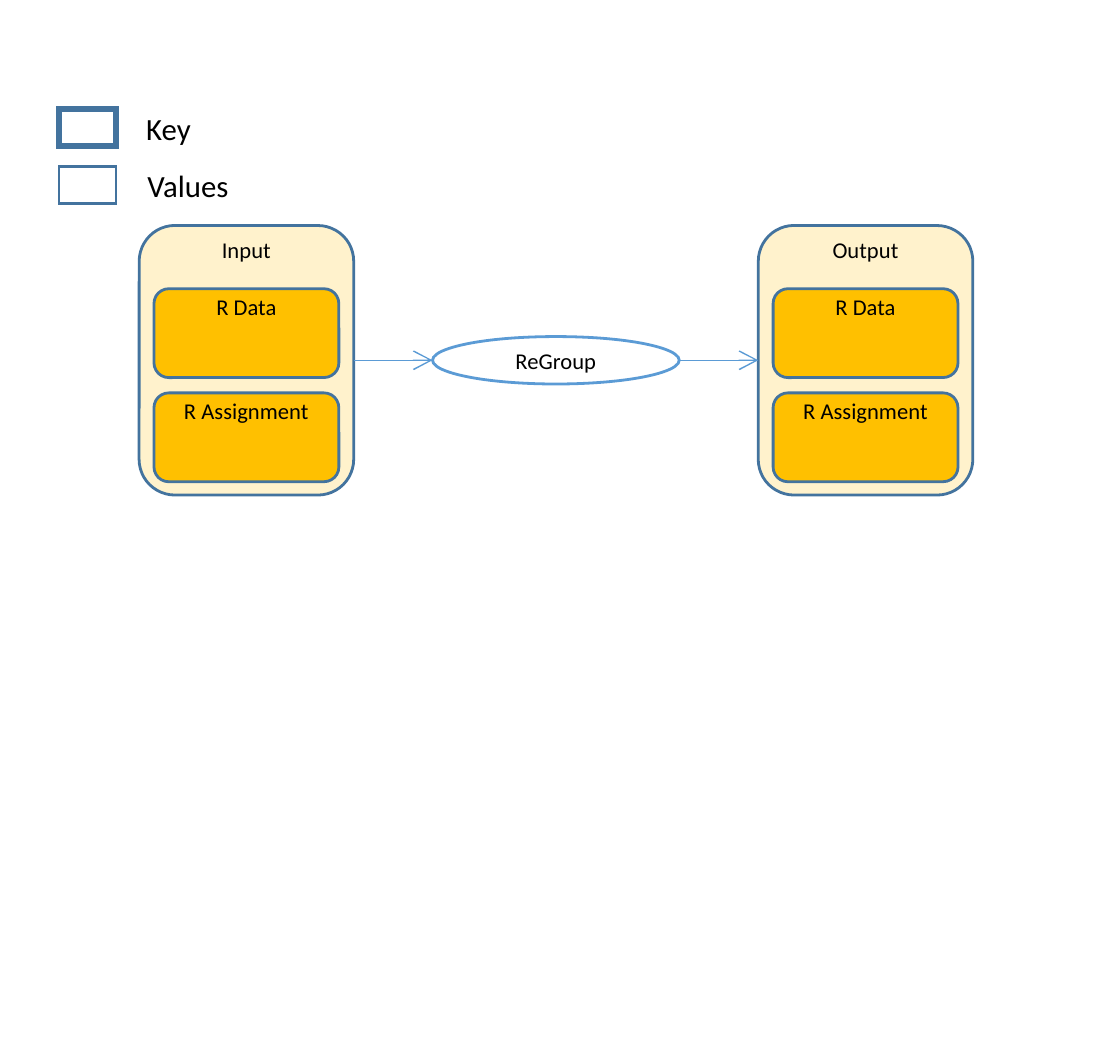
from dataclasses import dataclass

from lxml import etree
from pptx import Presentation
from pptx.dml.color import RGBColor
from pptx.enum.shapes import MSO_CONNECTOR, MSO_SHAPE
from pptx.enum.text import MSO_ANCHOR, MSO_AUTO_SIZE, PP_ALIGN
from pptx.oxml.ns import qn
from pptx.util import Pt

RECTANGLE = MSO_SHAPE.RECTANGLE
ROUNDED = MSO_SHAPE.ROUNDED_RECTANGLE
OVAL = MSO_SHAPE.OVAL
STRAIGHT = MSO_CONNECTOR.STRAIGHT
TOP, MIDDLE = MSO_ANCHOR.TOP, MSO_ANCHOR.MIDDLE
CENTER = PP_ALIGN.CENTER
FIT_SHAPE = MSO_AUTO_SIZE.SHAPE_TO_FIT_TEXT
LEFT_SIDE, RIGHT_SIDE = 1, 3


@dataclass(frozen=True)
class Theme:
    font: str = "Calibri"
    text: RGBColor = RGBColor(0x00, 0x00, 0x00)
    white: RGBColor = RGBColor(0xFF, 0xFF, 0xFF)
    cream: RGBColor = RGBColor(0xFF, 0xF2, 0xCC)
    amber: RGBColor = RGBColor(0xFF, 0xC0, 0x00)
    outline: RGBColor = RGBColor(0x43, 0x73, 0x9E)
    flow: RGBColor = RGBColor(0x5B, 0x9B, 0xD5)
    label_size: float = 8
    legend_size: float = 10.9


theme = Theme()


def style_text(paragraph, text, size):
    paragraph.text = text
    paragraph.font.name = theme.font
    paragraph.font.size = Pt(size)
    paragraph.font.color.rgb = theme.text


def add_box(kind, left, top, width, height, fill, line, weight=1, text="", anchor=TOP):
    box = page.shapes.add_shape(kind, Pt(left), Pt(top), Pt(width), Pt(height))
    box.shadow.inherit = False
    box.fill.solid()
    box.fill.fore_color.rgb = fill
    box.line.color.rgb = line
    box.line.width = Pt(weight)
    etree.SubElement(box.line._get_or_add_ln(), qn("a:miter"), lim="800000")
    if text:
        frame = box.text_frame
        frame.vertical_anchor = anchor
        frame.margin_top = Pt(3.6 if anchor == MIDDLE else 0)
        frame.paragraphs[0].alignment = CENTER
        style_text(frame.paragraphs[0], text, theme.label_size)
    return box


deck = Presentation()
deck.slide_width, deck.slide_height = Pt(396.75), Pt(368.5)
page = deck.slides.add_slide(deck.slide_layouts[6])

# Legend
legend = [("Key", 2.25, 44.7, 30.2), ("Values", 1, 45.1, 43.9)]
for row, (name, weight, text_left, text_width) in enumerate(legend):
    top = 38.7 + row * 20.2
    add_box(RECTANGLE, 20.9, top, 20.2, 13.2, theme.white, theme.outline, weight)
    label = page.shapes.add_textbox(Pt(text_left), Pt(top - 3.4), Pt(text_width), Pt(20.2))
    label.text_frame.word_wrap = False
    label.text_frame.auto_size = FIT_SHAPE
    style_text(label.text_frame.paragraphs[0], name, theme.legend_size)

# Input and output groups with their parts
group_top, group_width, group_height = 79.9, 76, 95.5
part_width = 65.5
groups = []
for name, left in [("Input", 49.3), ("Output", 268.6)]:
    groups.append(add_box(ROUNDED, left, group_top, group_width, group_height,
                          theme.cream, theme.outline, text=name))
    for row, part in enumerate(["R Data", "R Assignment"]):
        add_box(ROUNDED, left + (group_width - part_width) / 2, 102.3 + row * 36.9,
                part_width, 31.5, theme.amber, theme.outline, text=part)

# Operation, centred on the groups
middle = group_top + group_height / 2
oval_left, oval_width, oval_height = 153.2, 87.4, 16.8
add_box(OVAL, oval_left, middle - oval_height / 2, oval_width, oval_height,
        theme.white, theme.flow, text="ReGroup", anchor=MIDDLE)

# Arrows from input to operation to output
source, target = groups
into = page.shapes.add_connector(
    STRAIGHT, source.left + source.width, Pt(middle), Pt(oval_left), Pt(middle))
into.begin_connect(source, RIGHT_SIDE)
out = page.shapes.add_connector(
    STRAIGHT, Pt(oval_left + oval_width), Pt(middle), target.left, Pt(middle))
out.end_connect(target, LEFT_SIDE)
for arrow in (into, out):
    arrow.line.color.rgb = theme.flow
    arrow.line.width = Pt(0.5)
    etree.SubElement(arrow.line._get_or_add_ln(), qn("a:tailEnd"), type="arrow")
    etree.SubElement(arrow._element.spPr, qn("a:effectLst"))

deck.save("out.pptx")
